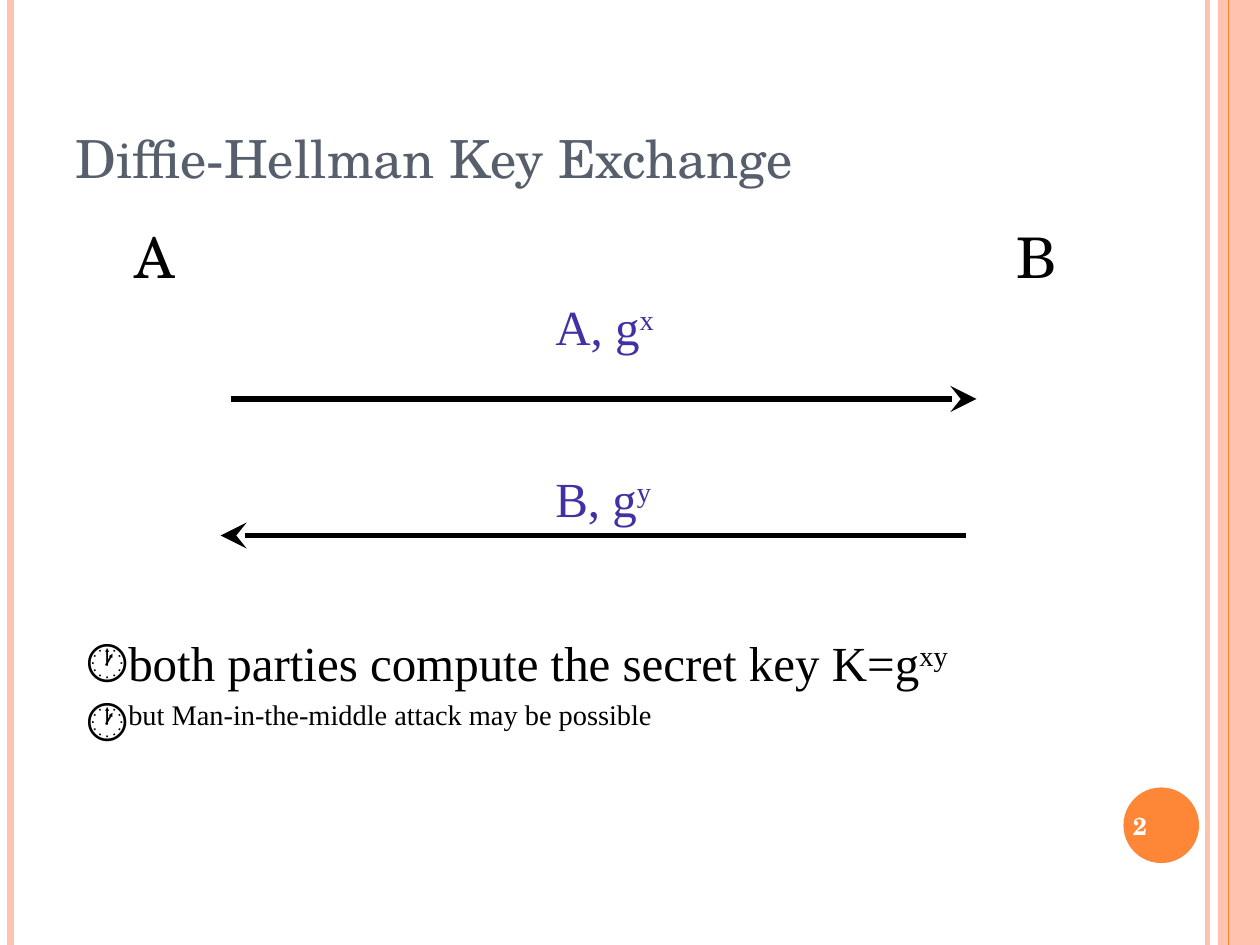
"""Build a slide that explains the Diffie-Hellman key exchange."""
from dataclasses import dataclass

import lxml.etree
import pptx
import pptx.dml.color
import pptx.enum.shapes
import pptx.enum.text
import pptx.oxml.ns
import pptx.util

COLUMNS, ROWS = 120, 90
SCHOLA, TIMES = "TeX Gyre Schola", "Times New Roman"
BLACK, WHITE, SLATE, VIOLET = "000000", "FFFFFF", "575F6D", "4330A4"
ORANGE, PEACH = "FE8637", "FEC2AE"
ANCHOR = pptx.enum.text.MSO_ANCHOR
SHAPE = pptx.enum.shapes.MSO_SHAPE

presentation = pptx.Presentation()
presentation.slide_width = pptx.util.Inches(10)
presentation.slide_height = pptx.util.Inches(7.5)
slide = presentation.slides.add_slide(presentation.slide_layouts[1])


@dataclass
class Box:
    left: float
    top: float
    width: float
    height: float


@dataclass
class Piece:
    text: str
    size: float
    font: str = TIMES
    color: str = BLACK
    bold: bool = False
    raised: bool = False


@dataclass
class Line:
    start: tuple[float, float]
    end: tuple[float, float]
    color: str
    width: float
    arrow: bool = False


@dataclass
class Label:
    box: Box
    pieces: list[Piece]


def x(columns: float) -> int:
    return round(presentation.slide_width * columns / COLUMNS)


def y(rows: float) -> int:
    return round(presentation.slide_height * rows / ROWS)


def rgb(color: str) -> pptx.dml.color.RGBColor:
    return pptx.dml.color.RGBColor.from_string(color)


def add_element(parent, tag: str, **attributes: str):
    return lxml.etree.SubElement(parent, pptx.oxml.ns.qn(tag), attributes)


def place(shape, box: Box) -> None:
    shape.left, shape.top = x(box.left), y(box.top)
    shape.width, shape.height = x(box.width), y(box.height)


def add_line(line: Line) -> None:
    connector = slide.shapes.add_connector(
        pptx.enum.shapes.MSO_CONNECTOR.STRAIGHT,
        x(line.start[0]), y(line.start[1]), x(line.end[0]), y(line.end[1]))
    connector.line.color.rgb = rgb(line.color)
    connector.line.width = pptx.util.Pt(line.width)
    if line.arrow:
        add_element(connector.line._get_or_add_ln(), "a:tailEnd",
                    type="stealth", w="lg", len="lg")
    add_element(connector._element.spPr, "a:effectLst")


def add_filled(kind: SHAPE, box: Box, color: str) -> None:
    shape = slide.shapes.add_shape(
        kind, x(box.left), y(box.top), x(box.width), y(box.height))
    shape.shadow.inherit = False
    shape.fill.solid()
    shape.fill.fore_color.rgb = rgb(color)
    shape.line.fill.background()


def write(paragraph, pieces: list[Piece]) -> None:
    paragraph.alignment = pptx.enum.text.PP_ALIGN.LEFT
    paragraph.space_before = pptx.util.Pt(0)
    for piece in pieces:
        run = paragraph.add_run()
        run.text = piece.text
        run.font.size = pptx.util.Pt(piece.size)
        run.font.name = piece.font
        run.font.bold = piece.bold
        run.font.color.rgb = rgb(piece.color)
        if piece.raised:
            run._r.get_or_add_rPr().set("baseline", "30000")


def prepare(shape, anchor: ANCHOR):
    frame = shape.text_frame
    frame.word_wrap = True
    frame.auto_size = pptx.enum.text.MSO_AUTO_SIZE.NONE
    frame.vertical_anchor = anchor
    return frame


def add_label(label: Label) -> None:
    shape = slide.shapes.add_textbox(0, 0, 0, 0)
    place(shape, label.box)
    frame = prepare(shape, ANCHOR.MIDDLE)
    frame.margin_left = frame.margin_right = 0
    frame.margin_top = frame.margin_bottom = 0
    write(frame.paragraphs[0], label.pieces)


def add_title(text: str) -> None:
    title = slide.shapes.title
    place(title, Box(6, 3.6, 98, 15))
    frame = prepare(title, ANCHOR.BOTTOM)
    write(frame.paragraphs[0], [Piece(text, 30, SCHOLA, SLATE)])


def add_bullets(items: list[list[Piece]]) -> None:
    body = slide.placeholders[1]
    place(body, Box(7, 59.6, 110, 25))
    frame = prepare(body, ANCHOR.TOP)
    for index, pieces in enumerate(items):
        paragraph = frame.add_paragraph() if index else frame.paragraphs[0]
        write(paragraph, pieces)
        properties = paragraph._p.get_or_add_pPr()
        indent = pptx.util.Inches(0.33)
        properties.set("marL", str(indent))
        properties.set("indent", str(-indent))
        add_element(properties, "a:buFont", typeface=TIMES)
        add_element(properties, "a:buChar", char="🕐")


def message(row: float, sender: str, exponent: str) -> Label:
    return Label(Box(52.9, row, 18, 5.4), [
        Piece(f"{sender}, g", 28, color=VIOLET),
        Piece(exponent, 28, color=VIOLET, raised=True)])


def main() -> None:
    for column, color, width in ((115, PEACH, 3), (1, PEACH, 4.5)):
        add_line(Line((column, 0), (column, ROWS), color, width))
    add_filled(SHAPE.RECTANGLE, Box(116, 0, 4, ROWS), PEACH)
    add_line(Line((117, 0), (117, ROWS), ORANGE, 0.75))
    add_filled(SHAPE.OVAL, Box(107, 75, 7.2, 7.2), ORANGE)
    add_title("Diffie-Hellman Key Exchange")
    add_bullets([
        [Piece("both parties compute the secret key K=g", 28),
         Piece("xy", 28, raised=True)],
        [Piece("but Man-in-the-middle attack may be possible", 28, raised=True)],
    ])
    labels = [
        Label(Box(107.9, 75.2, 6, 6.8), [Piece("2", 14, SCHOLA, WHITE, bold=True)]),
        Label(Box(12.8, 21.4, 6, 6), [Piece("A", 32, SCHOLA)]),
        Label(Box(96.8, 21.4, 6, 6), [Piece("B", 32, SCHOLA)]),
        message(28.3, "A", "x"),
        message(44.7, "B", "y"),
    ]
    for label in labels:
        add_label(label)
    add_line(Line((92, 51), (21, 51), BLACK, 3, arrow=True))
    add_line(Line((22, 38), (93, 38), BLACK, 3, arrow=True))
    presentation.save("out.pptx")


if __name__ == "__main__":
    main()
